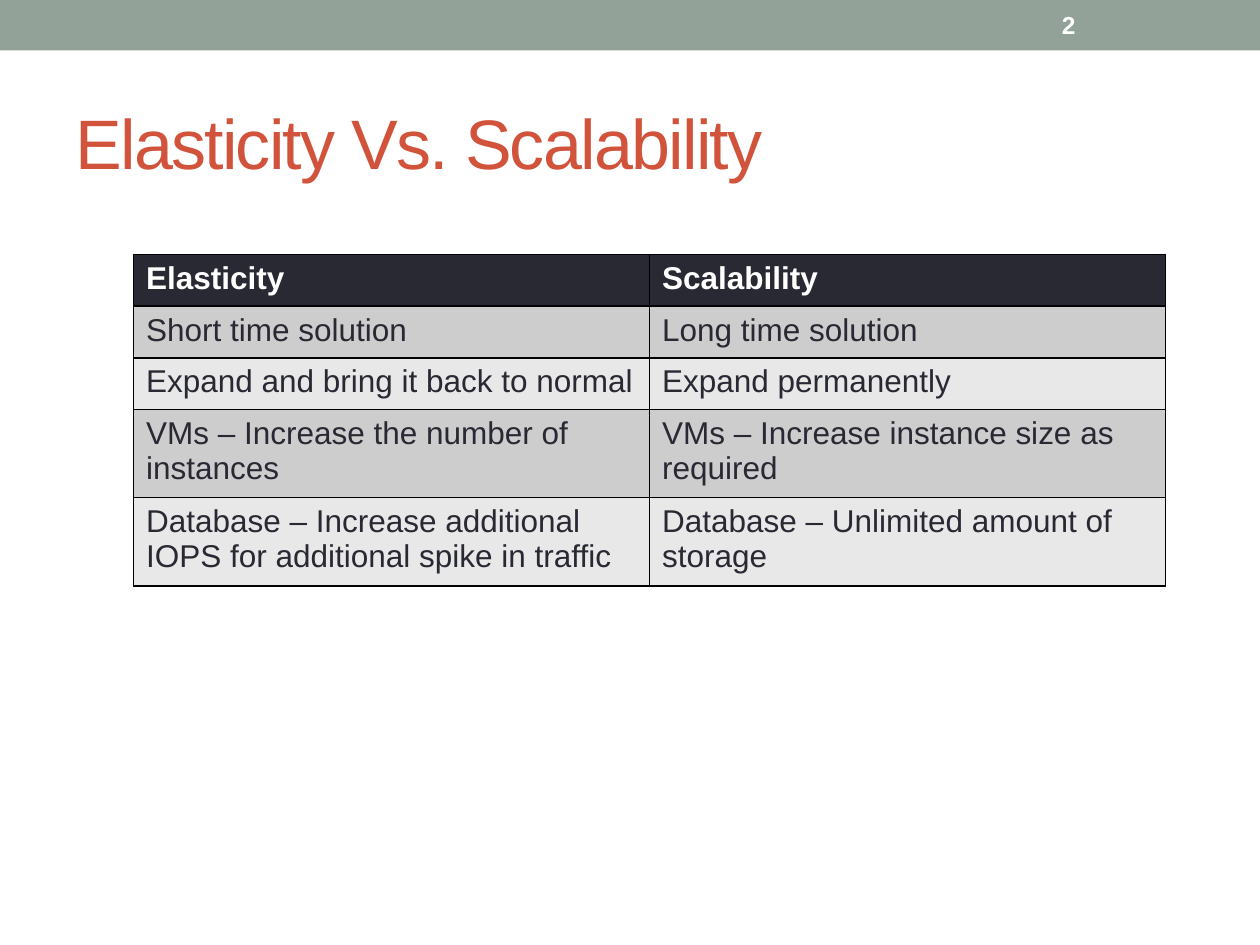
from lxml.etree import SubElement
from pptx import Presentation
from pptx.dml.color import RGBColor
from pptx.enum.shapes import MSO_SHAPE
from pptx.enum.text import MSO_ANCHOR
from pptx.oxml.ns import qn
from pptx.util import Inches, Pt

FONT = "Arial"
DARK, WHITE, BLACK = "292934", "FFFFFF", "000000"
BANDS = ["CDCDCE", "E8E8E8"]
ROWS = [
    ("Elasticity", "Scalability"),
    ("Short time solution", "Long time solution"),
    ("Expand and bring it back to normal", "Expand permanently"),
    ("VMs – Increase the number of instances",
     "VMs – Increase instance size as required"),
    ("Database – Increase additional IOPS for additional spike in traffic",
     "Database – Unlimited amount of storage"),
]


def rgb(color):
    return RGBColor.from_string(color)


def set_text(tf, text, size, color, bold=False):
    tf.text = text
    r = tf.paragraphs[0].runs[0]
    r.font.name = FONT
    r.font.size = Pt(size)
    r.font.bold = bold
    r.font.color.rgb = rgb(color)
    return r


def add_bar(s, x, y, w, h, color):
    sp = s.shapes.add_shape(MSO_SHAPE.RECTANGLE, Inches(x), Inches(y),
                            Inches(w), Inches(h))
    sp.shadow.inherit = False
    sp.fill.solid()
    sp.fill.fore_color.rgb = rgb(color)
    sp.line.fill.background()


def add_text(s, x, y, w, h, text, size, color, bold=False):
    tf = s.shapes.add_textbox(Inches(x), Inches(y), Inches(w),
                              Inches(h)).text_frame
    tf.word_wrap = True
    tf.vertical_anchor = MSO_ANCHOR.MIDDLE
    return set_text(tf, text, size, color, bold)


def set_borders(cell, color, width):
    # Borders must come before the fill in the cell properties
    tcPr = cell._tc.get_or_add_tcPr()
    for side in ("a:lnL", "a:lnR", "a:lnT", "a:lnB"):
        ln = SubElement(tcPr, qn(side), w=str(Pt(width)))
        fill = SubElement(ln, qn("a:solidFill"))
        SubElement(fill, qn("a:srgbClr"), val=color)


def add_table(s, x, y, w, row_h, rows):
    table = s.shapes.add_table(len(rows), len(rows[0]), Inches(x), Inches(y),
                               Inches(w), Inches(row_h * len(rows))).table
    for i, row in enumerate(rows):
        header = i == 0
        for j, text in enumerate(row):
            cell = table.cell(i, j)
            set_borders(cell, BLACK, 1)
            cell.fill.solid()
            cell.fill.fore_color.rgb = rgb(DARK if header else BANDS[(i - 1) % 2])
            set_text(cell.text_frame, text, 18, WHITE if header else DARK, header)


def main():
    prs = Presentation()
    prs.slide_width, prs.slide_height = Inches(10), Inches(7.5)
    s = prs.slides.add_slide(prs.slide_layouts[6])

    # Top bar, title and slide number
    add_bar(s, 0, 0, 10, 0.4, "93A299")
    title = add_text(s, 0.5, 0.58, 9, 1.08, "Elasticity Vs. Scalability",
                     40, "D2533C")
    title.font._element.set("spc", "-100")
    add_text(s, 8.33, 0.02, 1.17, 0.36, "2", 14, WHITE, True)

    # Comparison table
    add_table(s, 1.06, 2.02, 8.19, 0.41, ROWS)

    prs.save("out.pptx")


if __name__ == "__main__":
    main()
